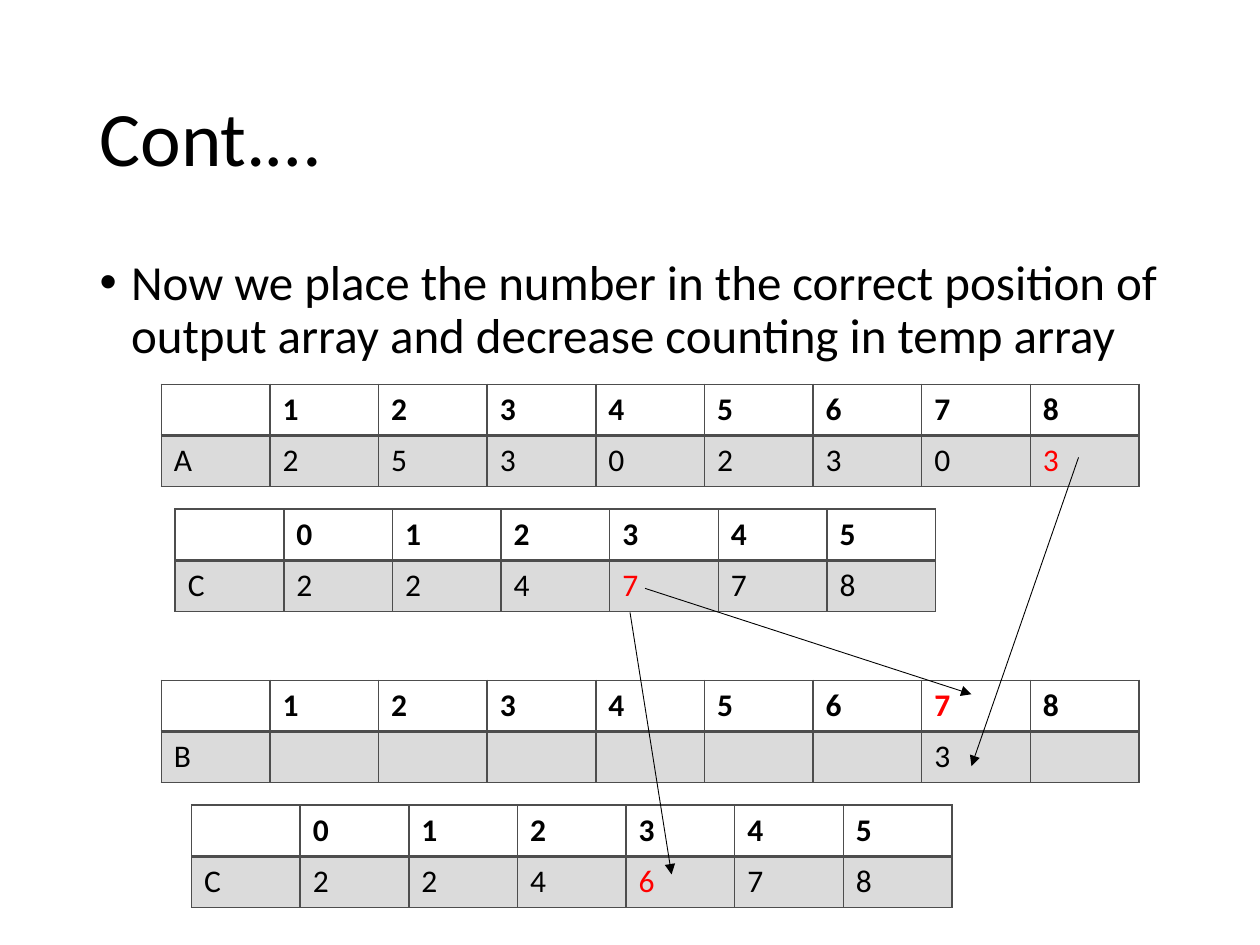
"""Build the counting sort slide with its array tables and arrows."""
from dataclasses import dataclass

from lxml.etree import SubElement
from pptx import Presentation
from pptx.dml.color import RGBColor
from pptx.enum.shapes import MSO_CONNECTOR
from pptx.enum.text import MSO_ANCHOR, MSO_AUTO_SIZE, PP_ALIGN
from pptx.oxml.ns import qn
from pptx.util import Inches, Pt


@dataclass(frozen=True)
class Theme:
    """Colours, font and sizes of the slide."""
    font: str = "Calibri"
    ink: str = "000000"
    accent: str = "FF0000"
    grid: str = "4D4D4D"
    tint_percent: int = 20
    title_size: int = 44
    body_size: int = 28
    cell_size: int = 18
    thin: float = 1
    thick: float = 2
    arrow: float = 0.5


THEME = Theme()
COLUMN_WIDTH = 7.76 / 9
ROW_HEIGHT = 0.405


def add_span(para, text, size, color=THEME.ink, bold=False):
    """Add one formatted run to a paragraph."""
    span = para.add_run()
    span.text = text
    span.font.name = THEME.font
    span.font.size = Pt(size)
    span.font.bold = bold
    span.font.color.rgb = RGBColor.from_string(color)


def fill_placeholder(box, bounds, text, size, anchor):
    """Move a placeholder, write its text and return the paragraph."""
    box.left, box.top, box.width, box.height = map(Inches, bounds)
    frame = box.text_frame
    frame.word_wrap = True
    frame.auto_size = MSO_AUTO_SIZE.NONE
    frame.vertical_anchor = anchor
    para = frame.paragraphs[0]
    para.alignment = PP_ALIGN.LEFT
    para.line_spacing = 0.9
    para.space_before = Pt(0)
    add_span(para, text, size)
    return para


def add_bullet(para, indent):
    """Give a paragraph a round bullet with a hanging indent."""
    properties = para._p.get_or_add_pPr()
    properties.set("marL", str(Inches(indent)))
    properties.set("indent", str(-Inches(indent)))
    SubElement(properties, qn("a:buFont"), typeface="Arial")
    SubElement(properties, qn("a:buChar"), char="•")


def set_borders(cell, widths):
    """Draw the left, right, top and bottom borders of a cell."""
    properties = cell._tc.get_or_add_tcPr()
    for side, width in zip("LRTB", widths):
        line = SubElement(properties, qn(f"a:ln{side}"), w=str(Pt(width)))
        fill = SubElement(line, qn("a:solidFill"))
        SubElement(fill, qn("a:srgbClr"), val=THEME.grid)


def tint(cell):
    """Fill a cell with the translucent grid colour."""
    cell.fill.solid()
    cell.fill.fore_color.rgb = RGBColor.from_string(THEME.grid)
    color = cell._tc.tcPr.find(qn("a:solidFill")).find(qn("a:srgbClr"))
    SubElement(color, qn("a:alpha"), val=str(THEME.tint_percent * 1000))


def add_array(page, left, top, name, first_index, values, marked):
    """Add a table with indices above the values of an array."""
    indices = [str(first_index + offset) for offset in range(len(values))]
    rows = [["", *indices], [name, *values]]
    width = COLUMN_WIDTH * len(rows[0])
    table = page.shapes.add_table(
        2, len(rows[0]), Inches(left), Inches(top),
        Inches(width), Inches(2 * ROW_HEIGHT)).table
    table.first_row = table.horz_banding = False
    for column in table.columns:
        column.width = Inches(COLUMN_WIDTH)
    for row_number, texts in enumerate(rows):
        header = row_number == 0
        table.rows[row_number].height = Inches(ROW_HEIGHT)
        edges = (THEME.thin, THEME.thick) if header else (THEME.thick, THEME.thin)
        for column_number, text in enumerate(texts):
            cell = table.cell(row_number, column_number)
            set_borders(cell, (THEME.thin, THEME.thin, *edges))
            if header:
                cell.fill.background()
            else:
                tint(cell)
            if text:
                color = THEME.accent if (row_number, column_number) == marked else THEME.ink
                add_span(cell.text_frame.paragraphs[0], text, THEME.cell_size, color, header)


def add_arrow(page, start, end):
    """Add a thin straight arrow between two points."""
    arrow = page.shapes.add_connector(
        MSO_CONNECTOR.STRAIGHT, *map(Inches, (*start, *end)))
    arrow.line.width = Pt(THEME.arrow)
    arrow.line.color.rgb = RGBColor.from_string(THEME.ink)
    SubElement(arrow.line._get_or_add_ln(), qn("a:tailEnd"), type="triangle")
    SubElement(arrow._element.spPr, qn("a:effectLst"))


def main():
    """Build and save the deck."""
    deck = Presentation()
    deck.slide_width, deck.slide_height = Inches(10), Inches(7.5)
    page = deck.slides.add_slide(deck.slide_layouts[1])
    fill_placeholder(page.shapes.title, (0.69, 0.4, 8.62, 1.45),
                     "Cont.…", THEME.title_size, MSO_ANCHOR.MIDDLE)
    para = fill_placeholder(
        page.placeholders[1], (0.69, 2, 8.62, 4.76),
        "Now we place the number in the correct position of output array "
        "and decrease counting in temp array", THEME.body_size, MSO_ANCHOR.TOP)
    add_bullet(para, 0.25)

    add_array(page, 1.39, 4.04, "C", 0, "224778", (1, 4))
    add_array(page, 1.28, 5.4, "B", 1, [""] * 6 + ["3", ""], (0, 7))
    add_array(page, 1.28, 3.05, "A", 1, "25302303", (1, 8))
    add_array(page, 1.52, 6.39, "C", 0, "224678", (1, 4))

    add_arrow(page, (8.56, 3.63), (7.71, 6.08))
    add_arrow(page, (5.12, 4.67), (7.71, 5.51))
    add_arrow(page, (5, 4.86), (5.33, 6.94))
    deck.save("out.pptx")


if __name__ == "__main__":
    main()
